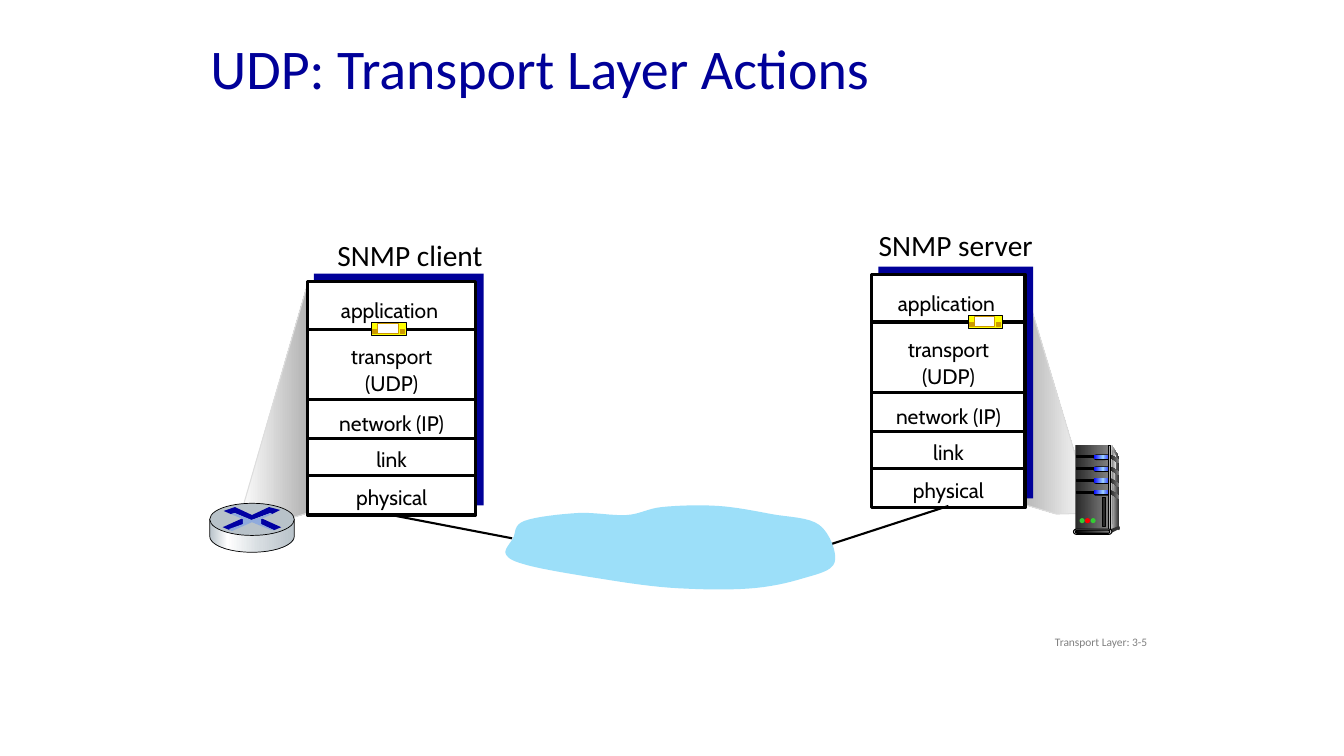
from math import cos, pi, sin

from lxml.etree import SubElement
from pptx import Presentation
from pptx.dml.color import RGBColor
from pptx.enum.shapes import MSO_CONNECTOR, MSO_SHAPE
from pptx.enum.text import MSO_ANCHOR, PP_ALIGN
from pptx.oxml.ns import qn
from pptx.util import Pt

COLORS = {
    "black": "000000", "white": "FFFFFF", "navy": "000099", "cross": "0000A3",
    "haze": "8FAADC", "sky": "9CDFF9", "steel": "B8C2C9", "pale": "D6DCE0",
    "silver": "B2B2B2", "light": "DDDDDD", "gray": "808080", "dark": "333333",
    "coal": "292929", "snow": "F8F8F8", "blue": "0000FF", "glow": "99CCFF",
    "green": "33CC33", "red": "FF0000", "yellow": "FFFF00", "gold": "CC9900",
}
# Gradients run left to right: (percent, colour)
FADE_OUT = ((0, "silver"), (100, "white"))
FADE_IN = ((0, "white"), (100, "silver"))
CASE = ((0, "coal"), (100, "gray"))
SIDE = ((0, "light"), (100, "dark"))
SHEEN = ((0, "gray"), (100, "snow"))
EDGE = ((0, "dark"), (50, "light"), (100, "dark"))
LAMP = ((0, "blue"), (50, "glow"), (100, "blue"))
BASE = ((0, "black"), (100, "gray"))
METAL = ((0, "steel"), (21, "white"), (60, "pale"), (100, "steel"))

TITLE = {"size": Pt(40), "name": "Calibri"}
HOST = {"size": Pt(21), "name": "Calibri"}
LAYER = {"size": Pt(15), "name": "Cabin"}
FOOTER = {"size": Pt(8.2), "name": "Calibri"}

# Protocol stacks: left, top, width; layers: lines, dy, height, dx
STACKS = [(622.8, 195.8, 109.4), (219.6, 200.9, 120.2)]
STACK_HEIGHT = 167
DIVIDERS = [34.2, 84.6, 112.3, 139]
LAYERS = [
    (["application"], 6.5, 27.4, -1.5),
    (["transport", "(UDP)"], 38.9, 47.5, 0),
    (["network (IP)"], 87.1, 27.4, 0),
    (["link"], 113, 27.4, 0),
    (["physical"], 139.7, 27.4, 0),
]
HOSTS = [("SNMP server", 620.6, 158.4, 126), ("SNMP client", 234, 165.6, 119.5)]
LINKS = [(677.5, 361.4, 591.1, 389.5), (272.2, 366.5, 365.8, 384.5)]
PACKETS = [(265.7, 230.4), (691.9, 225.4)]
PACKET_PARTS = [
    (0, 0, 24.5, 9.4, "yellow", "black"), (4.3, 0.9, 14.4, 7.2, "white", "gold"),
    (20.2, 5, 2.9, 2.9, "gold", "gold"), (0.7, 5, 2.9, 2.9, "gold", "gold"),
]
SERVER_BEAM = [(780.5, 366.5), (729.4, 195.8), (727.9, 359.3), (754.6, 367.2)]
CLIENT_BEAM = [(170.6, 372.2), (220.3, 200.9), (219.6, 366.5), (196.6, 373.7)]
CLOUD = [
    (473, 362.2), (447.8, 367.9), (412.6, 366.5), (374.4, 372.2), (366.5, 384.5),
    (361.4, 396), (377.3, 403.9), (424.1, 412.6), (478.1, 419.8), (534.2, 420.5),
    (573.1, 413.3), (596.2, 401.8), (585.4, 375.1), (550.8, 367.2), (512.6, 361.4),
]
TOWER_SIDE = [(794.2, 318.2), (799.2, 326.2), (799.2, 375.8), (792.7, 378.7)]
TOWER_SHEEN = [(794.2, 321.8), (797.8, 326.9), (795, 350), (794.2, 377.3)]
TOWER_FOOT = [(793.4, 380.9), (799.2, 378), (799.2, 375.8), (793.4, 378)]
LIGHTS = [(771.1, "green"), (775, "red"), (779, "green")]
ROUTER_X, ROUTER_RX, ROUTER_RY = 180, 30.2, 11.5
ROUTER_TOP, ROUTER_BOTTOM = 371, 383
CROSS = [
    (192.2, 362.2), (200.2, 364.3), (194.4, 367.2), (193, 366.5), (179.3, 371.5),
    (167.8, 366.5), (164.9, 367.2), (159.8, 365), (167.8, 362.2), (180, 367.9),
]
ARM = [(186.5, 370.1), (200.9, 376.6), (195.8, 378.7), (186.5, 374.4)]
CROSS_SHADE = [
    (164.9, 367.2), (167.8, 366.5), (180, 371.5), (193, 366.5), (194.4, 367.2),
    (186.5, 370.8), (186.5, 374.4), (195.8, 378.7), (193.7, 378.7), (180, 373),
    (165.6, 379.4), (163.4, 378), (173.5, 374.4), (173.5, 370.8),
]

prs = Presentation()
prs.slide_width, prs.slide_height = Pt(960), Pt(540)
s = prs.slides.add_slide(prs.slide_layouts[6])


def rgb(name):
    return RGBColor.from_string(COLORS[name])


def paint(sp, fill, line=None, width=0.75):
    sp.shadow.inherit = False
    if isinstance(fill, str):
        sp.fill.solid()
        sp.fill.fore_color.rgb = rgb(fill)
    else:
        sp.fill.gradient()
        sp.fill.gradient_angle = 0
        stops = sp._element.spPr.find(qn("a:gradFill")).find(qn("a:gsLst"))
        stops.clear()
        for pos, name in fill:
            gs = SubElement(stops, qn("a:gs"), pos=str(pos * 1000))
            SubElement(gs, qn("a:srgbClr"), val=COLORS[name])
    if line:
        sp.line.color.rgb = rgb(line)
        sp.line.width = Pt(width)
    else:
        sp.line.fill.background()


def shape(kind, x, y, w, h, *look):
    sp = s.shapes.add_shape(kind, Pt(x), Pt(y), Pt(w), Pt(h))
    if kind == MSO_SHAPE.ROUNDED_RECTANGLE:
        sp.adjustments[0] = 0.5
    paint(sp, *look)


def rect(*args):
    shape(MSO_SHAPE.RECTANGLE, *args)


def pill(*args):
    shape(MSO_SHAPE.ROUNDED_RECTANGLE, *args)


def oval(*args):
    shape(MSO_SHAPE.OVAL, *args)


def outline(points, *look):
    points = [(Pt(x), Pt(y)) for x, y in points]
    fb = s.shapes.build_freeform(*points[0])
    fb.add_line_segments(points[1:], close=True)
    paint(fb.convert_to_shape(), *look)


def line(x1, y1, x2, y2, width):
    c = s.shapes.add_connector(MSO_CONNECTOR.STRAIGHT, Pt(x1), Pt(y1), Pt(x2), Pt(y2))
    c.line.color.rgb = rgb("black")
    c.line.width = Pt(width)
    SubElement(c._element.spPr, qn("a:effectLst"))


def text(lines, x, y, w, h, font, color="black", align=PP_ALIGN.LEFT,
         anchor=MSO_ANCHOR.TOP, wrap=True, spacing=None):
    tf = s.shapes.add_textbox(Pt(x), Pt(y), Pt(w), Pt(h)).text_frame
    tf.word_wrap, tf.vertical_anchor = wrap, anchor
    for i, words in enumerate(lines):
        p = tf.add_paragraph() if i else tf.paragraphs[0]
        p.alignment, p.line_spacing = align, spacing
        r = p.add_run()
        r.text = words
        r.font.color.rgb = rgb(color)
        for key, value in font.items():
            setattr(r.font, key, value)


def smooth_loop(pts, steps=8):
    """Closed Catmull-Rom curve through the points."""
    n = len(pts)
    for i in range(n):
        around = [pts[(i + k) % n] for k in (-1, 0, 1, 2)]
        for t in (k / steps for k in range(steps)):
            yield tuple(
                b + ((c - a) * t + (2 * a - 5 * b + 4 * c - d) * t ** 2
                     + (3 * b - a - 3 * c + d) * t ** 3) / 2
                for a, b, c, d in zip(*around))


def stack(left, top, width):
    rect(left + 4.7, top - 5.4, width + 1, STACK_HEIGHT - 1.4, "navy")
    rect(left, top, width, STACK_HEIGHT, "white", "black", 2.25)
    for dy in DIVIDERS:
        line(left + 1, top + dy, left + width, top + dy, 2.25)
    for lines, dy, height, dx in LAYERS:
        text(lines, left + 5.75 + dx, top + dy, width - 11.5, height, LAYER,
             align=PP_ALIGN.CENTER, spacing=1.1)


# Server tower with its beam
outline(SERVER_BEAM, FADE_OUT, "light")
outline(TOWER_SIDE, SIDE)
rect(768.2, 318.2, 23.8, 60.5, CASE)
outline(TOWER_SHEEN, SHEEN)
slots = [325.3 + 8.5 * i for i in range(4)]
for y in slots:
    rect(768.6, y, 13.7, 1.4, "black", "black")
    pill(781, y - 0.7, 13, 4, "black")
    pill(781.2, y - 0.5, 13, 2.9, LAMP)
rect(792, 318.2, 1.4, 60.5, EDGE, "black")
for y in slots:
    outline([(793.4, y - 0.5), (799.2, y + 3), (799.2, y + 5.5), (793.4, y + 2)], CASE)
oval(798.5, 375.8, 1.4, 2.9, "dark")
outline(TOWER_FOOT, "dark")
pill(766.8, 378, 27.4, 3.6, "light", "black")
pill(768.2, 378.7, 24.5, 2.2, BASE, "black")
for x, color in LIGHTS:
    oval(x, 370.1, 3.6, 3.6, color)
rect(787.7, 355.7, 2.2, 20.2, "coal", "black")

# Host labels, server stack, links and network cloud
for name, x, y, w in HOSTS:
    text([name], x, y, w, 32.4, HOST, wrap=False)
stack(*STACKS[0])
for ends in LINKS:
    line(*ends, 1.5)
outline(list(smooth_loop(CLOUD)), "sky")

# Client stack with its beam
outline(CLIENT_BEAM, FADE_IN, "light")
stack(*STACKS[1])

# Router
left, right = ROUTER_X - ROUTER_RX, ROUTER_X + ROUTER_RX
rim = [(ROUTER_X + ROUTER_RX * cos(pi * k / 24), ROUTER_BOTTOM + ROUTER_RY * sin(pi * k / 24))
       for k in range(25)]
outline([(right, ROUTER_TOP), *rim, (left, ROUTER_TOP)], METAL, "black", 0.5)
oval(left, ROUTER_TOP - ROUTER_RY, 2 * ROUTER_RX, 2 * ROUTER_RY, "steel", "black", 0.5)
outline(CROSS, "cross")
outline(ARM, "cross")
outline([(2 * ROUTER_X - x, y) for x, y in ARM], "cross")
outline(CROSS_SHADE, "haze")

# Packets on the application boundary
for px, py in PACKETS:
    for x, y, w, h, fill, edge in PACKET_PARTS:
        rect(px + x, py + y, w, h, fill, edge)

# Footer and title
text(["Transport Layer: 3-5"], 664.6, 447.8, 162, 21.6, FOOTER, "gray",
     PP_ALIGN.RIGHT, MSO_ANCHOR.MIDDLE)
text(["UDP: Transport Layer Actions"], 143.3, 14.4, 671.8, 72.7, TITLE, "navy",
     anchor=MSO_ANCHOR.MIDDLE, spacing=0.9)

prs.save("out.pptx")
